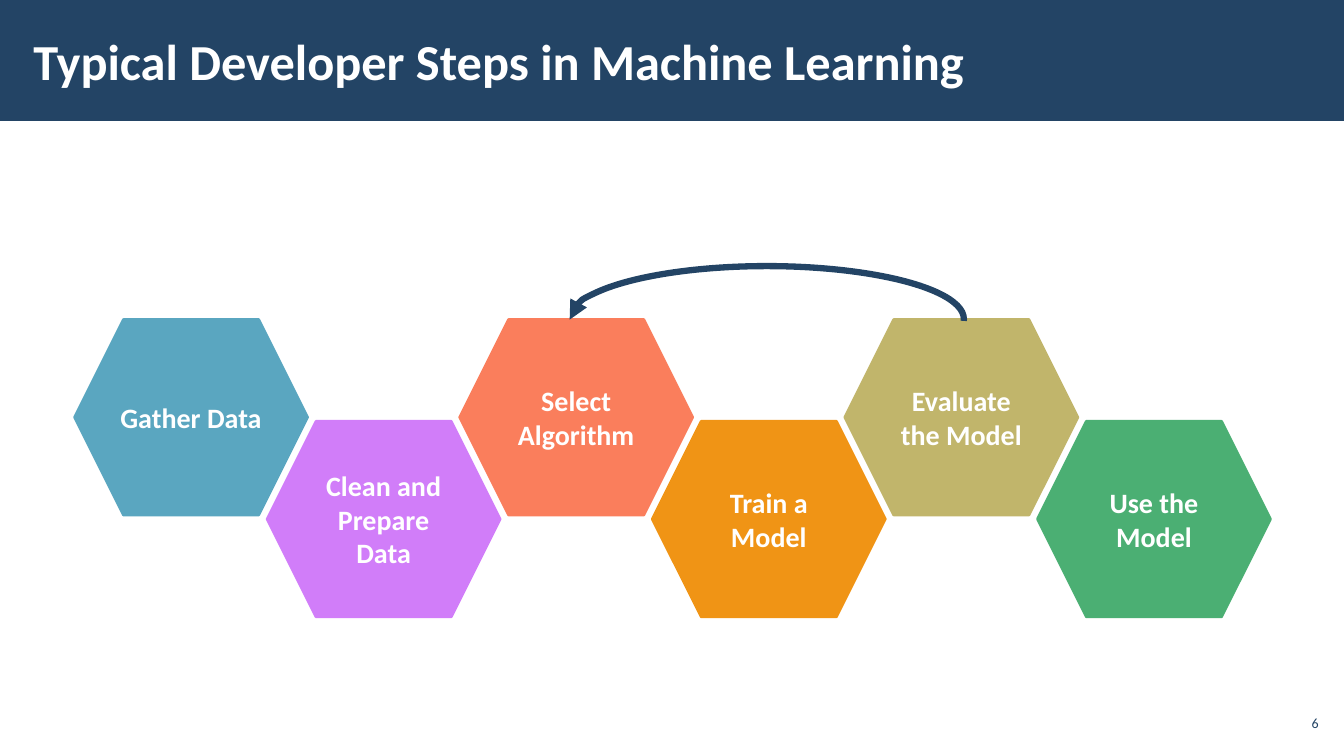
import pptx
import pptx.util
import pptx.dml.color
import pptx.enum.shapes
import pptx.enum.text
import pptx.oxml

Inches = pptx.util.Inches
Pt = pptx.util.Pt
RGBColor = pptx.dml.color.RGBColor
MSO_SHAPE = pptx.enum.shapes.MSO_SHAPE
PP_ALIGN = pptx.enum.text.PP_ALIGN
MSO_ANCHOR = pptx.enum.text.MSO_ANCHOR

NAVY = RGBColor(0x23, 0x44, 0x65)
WHITE = RGBColor(0xFF, 0xFF, 0xFF)
BLUE = RGBColor(0x5A, 0xA6, 0xC0)
VIOLET = RGBColor(0xD1, 0x7D, 0xF9)
CORAL = RGBColor(0xFA, 0x7E, 0x5C)
ORANGE = RGBColor(0xF0, 0x94, 0x15)
KHAKI = RGBColor(0xC1, 0xB5, 0x6B)
GREEN = RGBColor(0x4B, 0xAF, 0x73)


def write(sp, text, size, color, bold, align):
    tf = sp.text_frame
    tf.word_wrap = True
    tf.auto_size = pptx.enum.text.MSO_AUTO_SIZE.NONE
    tf.vertical_anchor = MSO_ANCHOR.MIDDLE
    p = tf.paragraphs[0]
    p.alignment = align
    r = p.add_run()
    r.text = text
    r.font.name = "Calibri"
    r.font.size = Pt(size)
    r.font.bold = bold
    r.font.color.rgb = color
    return tf


prs = pptx.Presentation()
prs.slide_width = Inches(13.33)
prs.slide_height = Inches(7.5)
s = prs.slides.add_slide(prs.slide_layouts[5])

# Header band, placed behind the title
band = s.shapes.add_shape(MSO_SHAPE.RECTANGLE, 0, 0, prs.slide_width, Inches(1.2))
band.shadow.inherit = False
band.fill.solid()
band.fill.fore_color.rgb = NAVY
band.line.fill.background()
s.shapes.title._element.addprevious(band._element)

# Title
title = s.shapes.title
title.left, title.top = Inches(0.21), Inches(0.11)
title.width, title.height = Inches(10.4), Inches(0.97)
tf = write(title, "Typical Developer Steps in Machine Learning", 36, WHITE, True, PP_ALIGN.LEFT)
tf.margin_left = tf.margin_right = Inches(0.12)
tf.margin_top = tf.margin_bottom = Inches(0.04)

# Slide number
number = s.shapes.add_textbox(Inches(12.65), Inches(7), Inches(0.47), Inches(0.34))
tf = write(number, "6", 10, NAVY, False, PP_ALIGN.RIGHT)
tf.margin_left = tf.margin_right = tf.margin_top = tf.margin_bottom = Inches(0.04)

# Steps as hexagons, alternating between an upper and a lower row
steps = [
    ("Gather Data", BLUE),
    ("Clean and Prepare Data", VIOLET),
    ("Select Algorithm", CORAL),
    ("Train a Model", ORANGE),
    ("Evaluate the Model", KHAKI),
    ("Use the Model", GREEN),
]
for i, (label, color) in enumerate(steps):
    sp = s.shapes.add_shape(MSO_SHAPE.HEXAGON, Inches(0.74 + 1.91 * i),
                            Inches(3.17 + 1.01 * (i % 2)), Inches(2.31), Inches(1.94))
    sp.shadow.inherit = False
    sp.fill.solid()
    sp.fill.fore_color.rgb = color
    sp.line.color.rgb = color
    sp.line.width = Pt(2)
    write(sp, label, 20, WHITE, True, PP_ALIGN.CENTER)

# Feedback arc from evaluation back to algorithm selection
arc = s.shapes.add_shape(MSO_SHAPE.ARC, Inches(5.65), Inches(2.64), Inches(3.91), Inches(1.05))
arc.adjustments[0] = 107.9
arc.adjustments[1] = 0.33
arc.shadow.inherit = False
arc.fill.background()
arc.line.color.rgb = NAVY
arc.line.width = Pt(4.5)
arc.line._get_or_add_ln().append(pptx.oxml.parse_xml(
    '<a:headEnd xmlns:a="http://schemas.openxmlformats.org/drawingml/2006/main" type="triangle"/>'))

prs.save("out.pptx")
